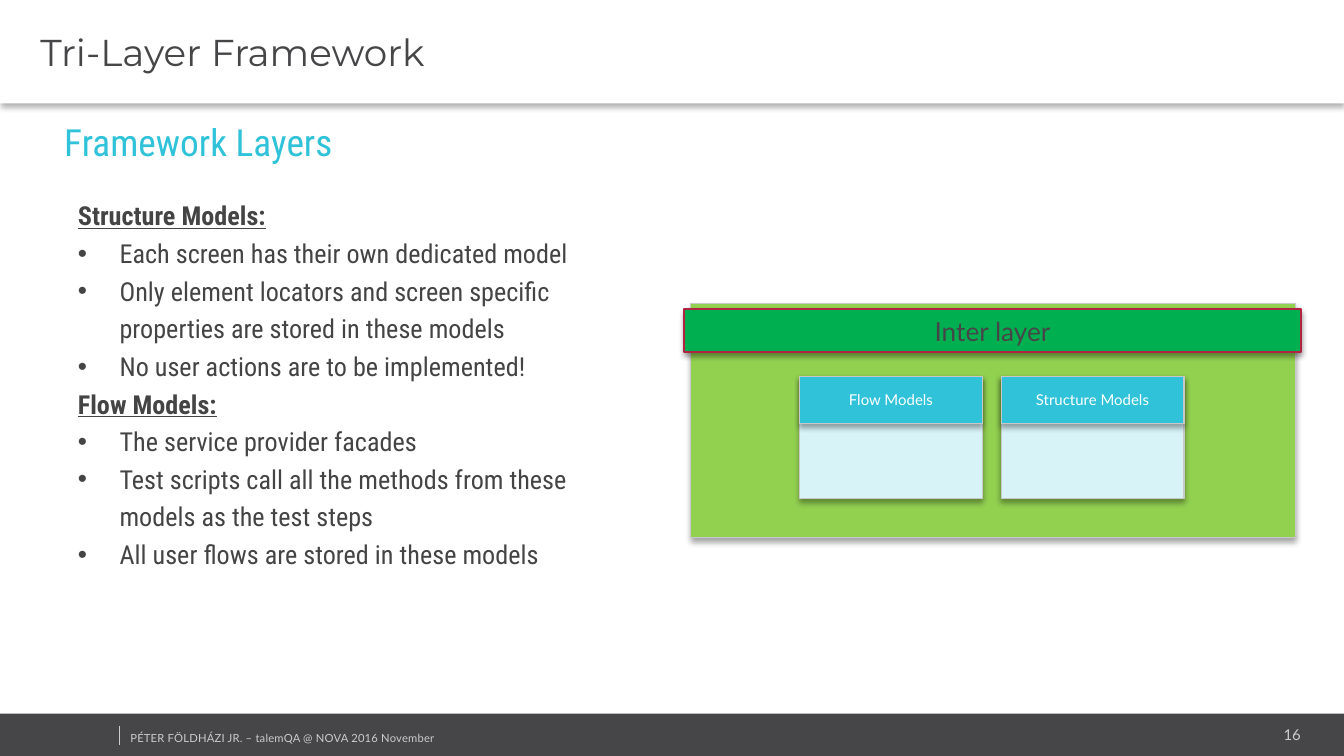
from lxml import etree
from pptx import Presentation
from pptx.dml.color import RGBColor
from pptx.enum.shapes import MSO_CONNECTOR, MSO_SHAPE
from pptx.enum.text import MSO_ANCHOR, MSO_AUTO_SIZE, PP_ALIGN
from pptx.oxml.ns import qn
from pptx.util import Inches, Pt

RECTANGLE = MSO_SHAPE.RECTANGLE
LEFT, CENTER, RIGHT = PP_ALIGN.LEFT, PP_ALIGN.CENTER, PP_ALIGN.RIGHT
TOP, MIDDLE = MSO_ANCHOR.TOP, MSO_ANCHOR.MIDDLE

COLORS = {
    "white": "FFFFFF", "dark": "464547", "text": "444444", "footer": "CCCCCC",
    "border": "C8C8C8", "accent": "2FC2D9", "pale": "D7F3F7",
    "panel": "92D050", "bar": "00B050", "bar_border": "B12343", "shadow": "000000",
}

# Content
TITLE = "Tri-Layer Framework"
HEADING = "Framework Layers"
SECTIONS = [
    ("Structure Models:", [
        "Each screen has their own dedicated model",
        "Only element locators and screen specific properties are stored in these models",
        "No user actions are to be implemented!",
    ]),
    ("Flow Models:", [
        "The service provider facades",
        "Test scripts call all the methods from these models as the test steps",
        "All user flows are stored in these models",
    ]),
]
LAYER = "Inter layer"
MODELS = ["Flow Models", "Structure Models"]
FOOTER = "PÉTER FÖLDHÁZI JR. – talemQA @ NOVA 2016 November"
PAGE_NUMBER = "16"


def rgb(name):
    return RGBColor.from_string(COLORS[name])


def place(shape, left, top, width, height):
    shape.left, shape.top = Inches(left), Inches(top)
    shape.width, shape.height = Inches(width), Inches(height)


def set_up(shape, anchor=TOP, insets=(0.1, 0.05, 0.1, 0.05)):
    frame = shape.text_frame
    frame.word_wrap = True
    frame.auto_size = MSO_AUTO_SIZE.NONE
    frame.vertical_anchor = anchor
    frame.margin_left, frame.margin_top, frame.margin_right, frame.margin_bottom = map(Inches, insets)
    return frame


def write(para, text, size, font, color, align=LEFT, bold=False, underline=False,
          spacing=1.0, margin=0, bullet=False, tracking=None):
    properties = para._p.get_or_add_pPr()
    properties.set("marL", str(Inches(margin)))
    properties.set("indent", str(-Inches(margin) if bullet else 0))
    if bullet:
        etree.SubElement(properties, qn("a:buFont")).set("typeface", "Arial")
        etree.SubElement(properties, qn("a:buChar")).set("char", "•")
    else:
        etree.SubElement(properties, qn("a:buNone"))
    para.alignment = align
    para.line_spacing = spacing
    para.space_before = Pt(0)
    span = para.add_run()
    span.text = text
    span.font.size, span.font.name = Pt(size), font
    span.font.bold, span.font.underline = bold, underline
    span.font.color.rgb = rgb(color)
    if tracking:
        span._r.get_or_add_rPr().set("spc", str(round(tracking * 100)))


def paint(shape, fill, line=None, shadow=None):
    shape.fill.solid()
    shape.fill.fore_color.rgb = rgb(fill)
    if line:
        shape.line.color.rgb = rgb(line)
        shape.line.width = Pt(0.75)
    else:
        shape.line.fill.background()
    shape.shadow.inherit = False
    if shadow:
        opacity, distance = shadow
        effects = shape._element.spPr.find(qn("a:effectLst"))
        outer = etree.SubElement(effects, qn("a:outerShdw"), blurRad=str(Pt(3.1)),
                                 dist=str(Pt(distance)), dir="5400000", rotWithShape="0")
        tint = etree.SubElement(outer, qn("a:srgbClr"), val=COLORS["shadow"])
        etree.SubElement(tint, qn("a:alpha"), val=str(opacity * 1000))


def add_block(page, area, fill, line=None, shadow=None):
    block = page.shapes.add_shape(RECTANGLE, *map(Inches, area))
    paint(block, fill, line, shadow)
    return block


def add_label(page, area, insets=(0.1, 0.05, 0.1, 0.05), **style):
    box = page.shapes.add_textbox(*map(Inches, area))
    write(set_up(box, insets=insets).paragraphs[0], **style)


def build():
    deck = Presentation()
    deck.slide_width = Inches(10)
    deck.slide_height = deck.slide_width * 9 // 16
    page = deck.slides.add_slide(deck.slide_layouts[1])

    # Title band
    title = page.shapes.title
    place(title, 0, 0, 10, 0.77)
    paint(title, "white", shadow=(30, 2))
    frame = set_up(title, MIDDLE, (0.3, 0.04, 0.07, 0.04))
    write(frame.paragraphs[0], TITLE, 20, "Montserrat", "dark")

    # Heading and list
    add_label(page, (0, 0.77, 4.94, 0.5), text=HEADING, size=20,
              font="Roboto Condensed", color="accent", spacing=1.2, margin=0.38)
    body = page.placeholders[1]
    place(body, 0.48, 1.39, 4.07, 2.93)
    frame = set_up(body)
    lines = []
    for name, points in SECTIONS:
        lines.append((name, True))
        lines += [(point, False) for point in points]
    for number, (text, is_name) in enumerate(lines):
        para = frame.add_paragraph() if number else frame.paragraphs[0]
        write(para, text, 14, "Roboto Condensed", "text", bold=is_name, underline=is_name,
              bullet=not is_name, margin=0 if is_name else 0.31, spacing=1.2)

    # Layer diagram
    soft = (35, 1.8)
    add_block(page, (5.14, 2.26, 4.5, 1.74), "panel", "border", soft)
    bar = add_block(page, (5.09, 2.3, 4.59, 0.32), "bar", "bar_border", (38, 1.6))
    write(set_up(bar, MIDDLE).paragraphs[0], LAYER, 14, "Lato", "dark", align=CENTER)
    for column, name in enumerate(MODELS):
        left = 5.95 + 1.5 * column
        add_block(page, (left, 2.8, 1.36, 0.91), "pale", "border", soft)
        header = add_block(page, (left, 2.8, 1.36, 0.35), "accent", "border", soft)
        write(set_up(header, MIDDLE).paragraphs[0], name, 8, "Lato", "white", align=CENTER)

    # Footer
    small = (0.07, 0.04, 0.07, 0.04)
    add_block(page, (0, 5.31, 10.01, 0.33), "dark")
    add_label(page, (8.12, 5.36, 1.63, 0.21), small, text=PAGE_NUMBER, size=8,
              font="Lato", color="footer", align=RIGHT)
    add_label(page, (0.9, 5.4, 2.53, 0.18), small, text=FOOTER, size=6,
              font="Lato", color="footer", tracking=0.1)
    divider = page.shapes.add_connector(MSO_CONNECTOR.STRAIGHT, *map(Inches, (0.89, 5.4, 0.89, 5.54)))
    divider.line.color.rgb = rgb("footer")
    divider.line.width = Pt(0.25)
    etree.SubElement(divider._element.spPr, qn("a:effectLst"))

    deck.save("out.pptx")


if __name__ == "__main__":
    build()
